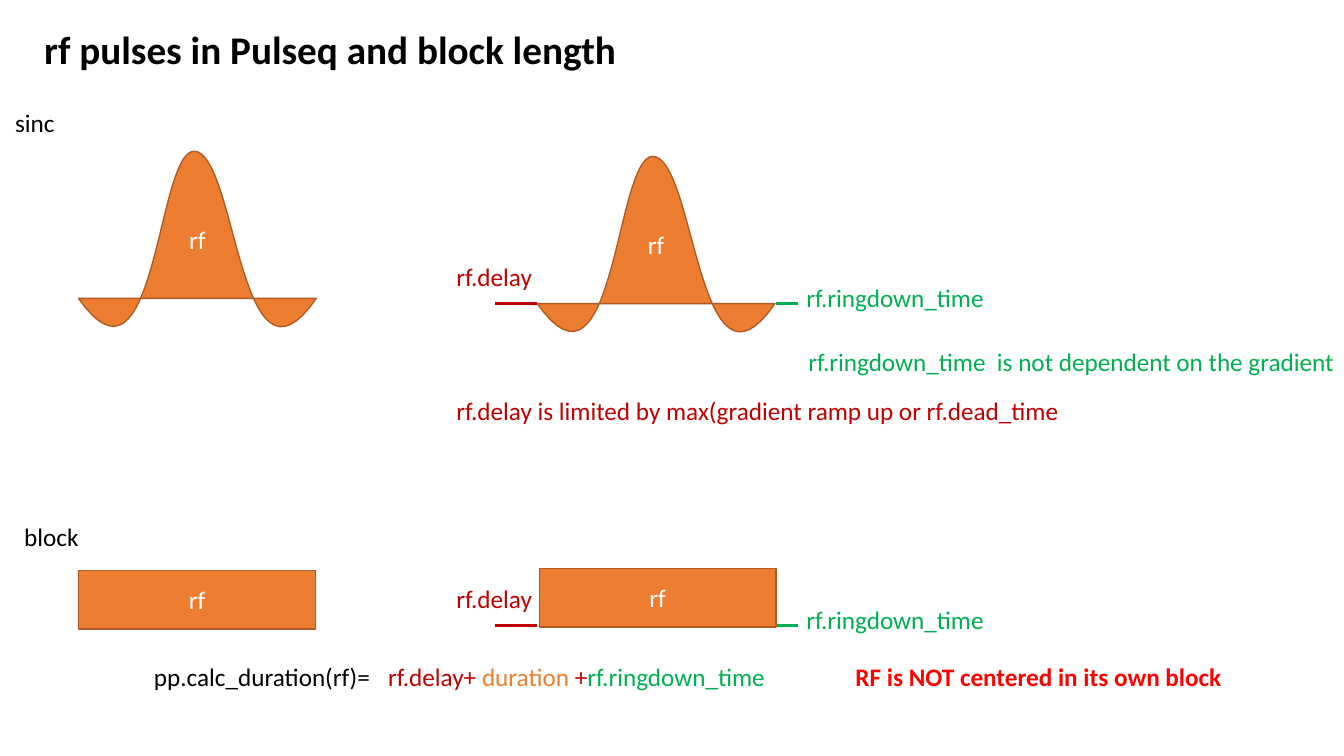
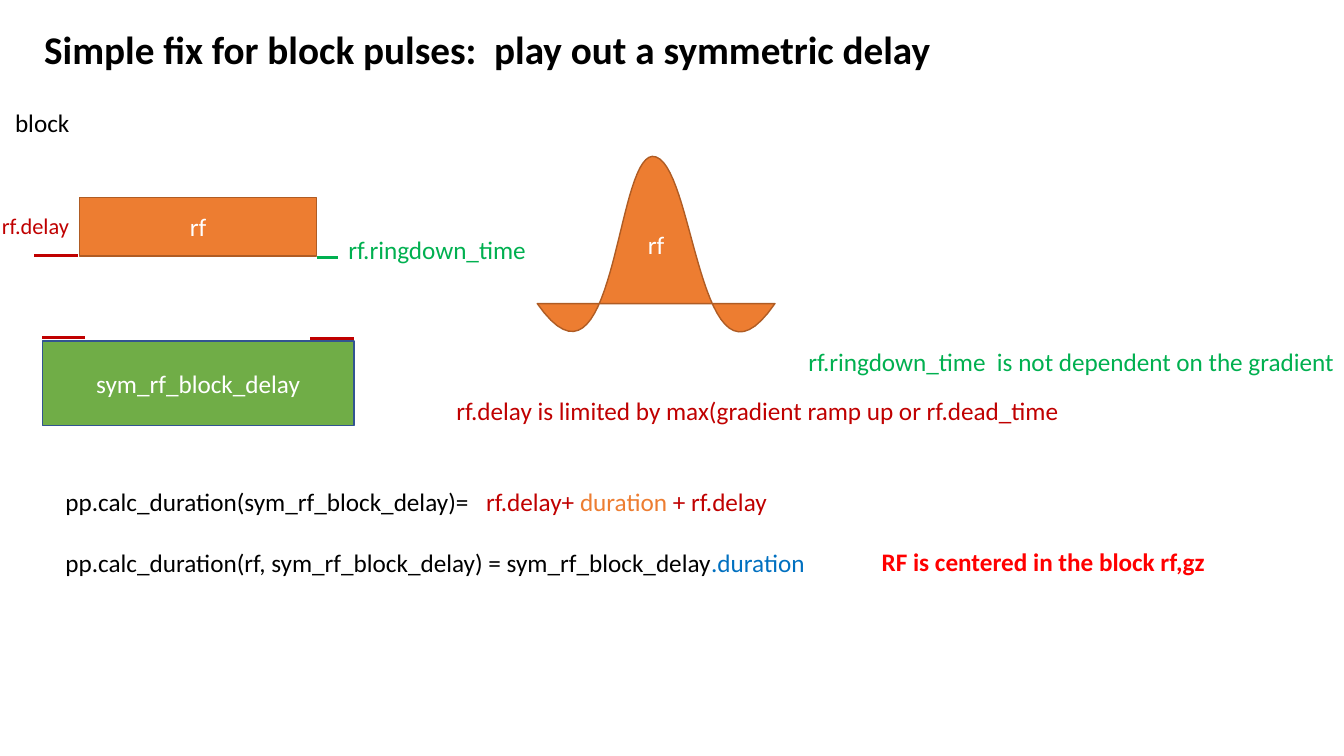
from dataclasses import dataclass
from typing import NamedTuple

from lxml.etree import SubElement
from pptx import Presentation
from pptx.dml.color import RGBColor
from pptx.enum.shapes import MSO_CONNECTOR as Connector, MSO_SHAPE as Shape
from pptx.enum.text import MSO_ANCHOR as Anchor, MSO_AUTO_SIZE as AutoSize, PP_ALIGN as Align
from pptx.oxml.ns import qn
from pptx.util import Cm, Pt

FONT = "Calibri"
BLACK, WHITE = "000000", "FFFFFF"
DELAY, RINGDOWN, DURATION = "C00000", "00B050", "0070C0"
PULSE, PULSE_EDGE = "ED7D31", "AF5C24"
BLOCK, BLOCK_EDGE = "70AD47", "325491"
ALERT = "FF0000"

# Bezier segments of a sinc pulse, in cm from the left end of its baseline
SINC_CURVES = (
    ((0, 0), (1.96, 2.79), (1.96, -3.63), (2.9, -3.71)),
    ((2.9, -3.71), (3.99, -3.73), (4.04, 2.84), (5.99, 0)),
)
CURVE_STEPS = 32


class Part(NamedTuple):
    text: str
    color: str = BLACK


@dataclass(frozen=True)
class Label:
    text: str
    left: float
    top: float
    width: float
    color: str = BLACK
    size: int = 18
    bold: bool = False


@dataclass(frozen=True)
class Bar:
    text: str
    left: float
    top: float
    width: float = 5.97
    height: float = 1.47
    fill: str = PULSE
    edge: str = PULSE_EDGE


@dataclass(frozen=True)
class Marker:
    left: float
    right: float
    y: float
    color: str = DELAY


LIMIT_NOTES = (
    Label("rf.ringdown_time  is not dependent on the gradient", 20.12, 8.61, 13.92, RINGDOWN),
    Label("rf.delay is limited by max(gradient ramp up or rf.dead_time", 11.25, 9.83, 15.88, DELAY),
)


def rgb(color: str) -> RGBColor:
    return RGBColor.from_string(color)


def write(p, text: str, *, color: str = BLACK, size: int = 18, bold: bool = False) -> None:
    r = p.add_run()
    r.text = text
    r.font.name, r.font.size, r.font.bold = FONT, Pt(size), bold
    r.font.color.rgb = rgb(color)


def add_text_box(s, left: float, top: float, width: float, height: float, wrap: bool):
    tf = s.shapes.add_textbox(Cm(left), Cm(top), Cm(width), Cm(height)).text_frame
    tf.word_wrap = wrap
    return tf


def add_label(s, label: Label) -> None:
    tf = add_text_box(s, label.left, label.top, label.width, 1.02, wrap=False)
    write(tf.paragraphs[0], label.text, color=label.color, size=label.size, bold=label.bold)


def add_formula(s, left: float, top: float, width: float, tab: float,
                *lines: tuple[Part, ...]) -> None:
    """Write one coloured formula a paragraph, with a tab stop at tab."""
    tf = add_text_box(s, left, top, width, 2.5, wrap=True)
    for i, parts in enumerate(lines):
        p = tf.add_paragraph() if i else tf.paragraphs[0]
        if i:
            p.space_before = Pt(22)
        tabs = SubElement(p._p.get_or_add_pPr(), qn("a:tabLst"))
        SubElement(tabs, qn("a:tab"), pos=str(Cm(tab)), algn="l")
        for part in parts:
            write(p, part.text, color=part.color)


def style_shape(sp, text: str, fill: str, edge: str) -> None:
    sp.shadow.inherit = False
    sp.fill.solid()
    sp.fill.fore_color.rgb = rgb(fill)
    sp.line.color.rgb = rgb(edge)
    sp.line.width = Pt(1)
    tf = sp.text_frame
    tf.vertical_anchor = Anchor.MIDDLE
    p = tf.paragraphs[0]
    p.alignment = Align.CENTER
    write(p, text, color=WHITE)


def add_bar(s, bar: Bar) -> None:
    sp = s.shapes.add_shape(Shape.RECTANGLE, Cm(bar.left), Cm(bar.top),
                            Cm(bar.width), Cm(bar.height))
    style_shape(sp, bar.text, bar.fill, bar.edge)


def bezier(points: tuple, t: float) -> tuple[float, float]:
    u = 1 - t
    weights = (u ** 3, 3 * u * u * t, 3 * u * t * t, t ** 3)
    x, y = (sum(w * c for w, c in zip(weights, axis)) for axis in zip(*points))
    return x, y


def add_sinc(s, left: float, baseline: float) -> None:
    outline = [bezier(curve, step / CURVE_STEPS)
               for curve in SINC_CURVES for step in range(1, CURVE_STEPS + 1)]
    builder = s.shapes.build_freeform(Cm(left), Cm(baseline))
    builder.add_line_segments([(Cm(left + x), Cm(baseline + y)) for x, y in outline], close=True)
    style_shape(builder.convert_to_shape(), "rf", PULSE, PULSE_EDGE)


def add_marker(s, marker: Marker) -> None:
    line = s.shapes.add_connector(Connector.STRAIGHT, Cm(marker.left), Cm(marker.y),
                                  Cm(marker.right), Cm(marker.y))
    line.line.color.rgb = rgb(marker.color)
    line.line.width = Pt(2.25)
    SubElement(line._element.spPr, qn("a:effectLst"))


def add_slide(prs, title: str):
    s = prs.slides.add_slide(prs.slide_layouts[5])
    sp = s.shapes.title
    sp.left, sp.top, sp.width, sp.height = Cm(0.86), Cm(0.51), Cm(30), Cm(1.45)
    tf = sp.text_frame
    tf.auto_size = AutoSize.NONE
    tf.vertical_anchor = Anchor.TOP
    p = tf.paragraphs[0]
    p.alignment = Align.LEFT
    write(p, title, size=28, bold=True)
    return s


def add_pulse_slide(prs) -> None:
    s = add_slide(prs, "rf pulses in Pulseq and block length")
    add_sinc(s, 1.98, 7.52)
    add_sinc(s, 13.54, 7.65)
    for baseline in (7.65, 15.77):
        add_marker(s, Marker(12.47, 13.54, baseline))
        add_marker(s, Marker(19.56, 20.12, baseline, RINGDOWN))
        add_label(s, Label("rf.delay", 11.25, baseline - 1.2, 2.44, DELAY))
        add_label(s, Label("rf.ringdown_time", 20.07, baseline - 0.66, 5.03, RINGDOWN))
    for bar in (Bar("rf", 13.59, 14.33), Bar("rf", 1.98, 14.38)):
        add_bar(s, bar)
    for label in (
        *LIMIT_NOTES,
        Label("sinc", 0.13, 2.57, 1.52),
        Label("block", 0.36, 13, 1.9),
        Label("RF is NOT centered in its own block", 21.31, 16.54, 9.8, ALERT, bold=True),
    ):
        add_label(s, label)
    add_formula(s, 3.63, 16.54, 18.72, 5.9, (
        Part("pp.calc_duration(rf)=\t"), Part("rf.delay+ ", DELAY), Part("duration ", PULSE),
        Part("+", DELAY), Part("rf.ringdown_time", RINGDOWN)))


def add_fix_slide(prs) -> None:
    s = add_slide(prs, "Simple fix for block pulses:  play out a symmetric delay")
    add_sinc(s, 13.54, 7.65)
    add_bar(s, Bar("rf", 2.01, 4.98))
    add_bar(s, Bar("sym_rf_block_delay", 1.07, 8.59, 7.85, 2.13, BLOCK, BLOCK_EDGE))
    for marker in (
        Marker(0.86, 1.96, 6.43),
        Marker(8, 8.53, 6.48, RINGDOWN),
        Marker(1.07, 2.13, 8.51),
        Marker(7.82, 8.92, 8.53),
    ):
        add_marker(s, marker)
    for label in (
        *LIMIT_NOTES,
        Label("block", 0.13, 2.57, 1.9),
        Label("rf.delay", -0.2, 5.21, 2.24, DELAY, size=16),
        Label("rf.ringdown_time", 8.53, 5.79, 5.03, RINGDOWN),
        Label("RF is centered in the block rf,gz", 21.97, 13.64, 8.86, ALERT, bold=True),
    ):
        add_label(s, label)
    add_formula(
        s, 1.4, 12.12, 25.73, 10.6,
        (Part("pp.calc_duration(sym_rf_block_delay)=\t"), Part("rf.delay+ ", DELAY),
         Part("duration ", PULSE), Part("+ rf.delay", DELAY)),
        (Part("pp.calc_duration(rf, sym_rf_block_delay) = sym_rf_block_delay"),
         Part(".duration", DURATION)))


def main() -> None:
    prs = Presentation()
    prs.slide_width, prs.slide_height = Cm(33.87), Cm(19.05)
    add_pulse_slide(prs)
    add_fix_slide(prs)
    prs.save("out.pptx")


if __name__ == "__main__":
    main()
